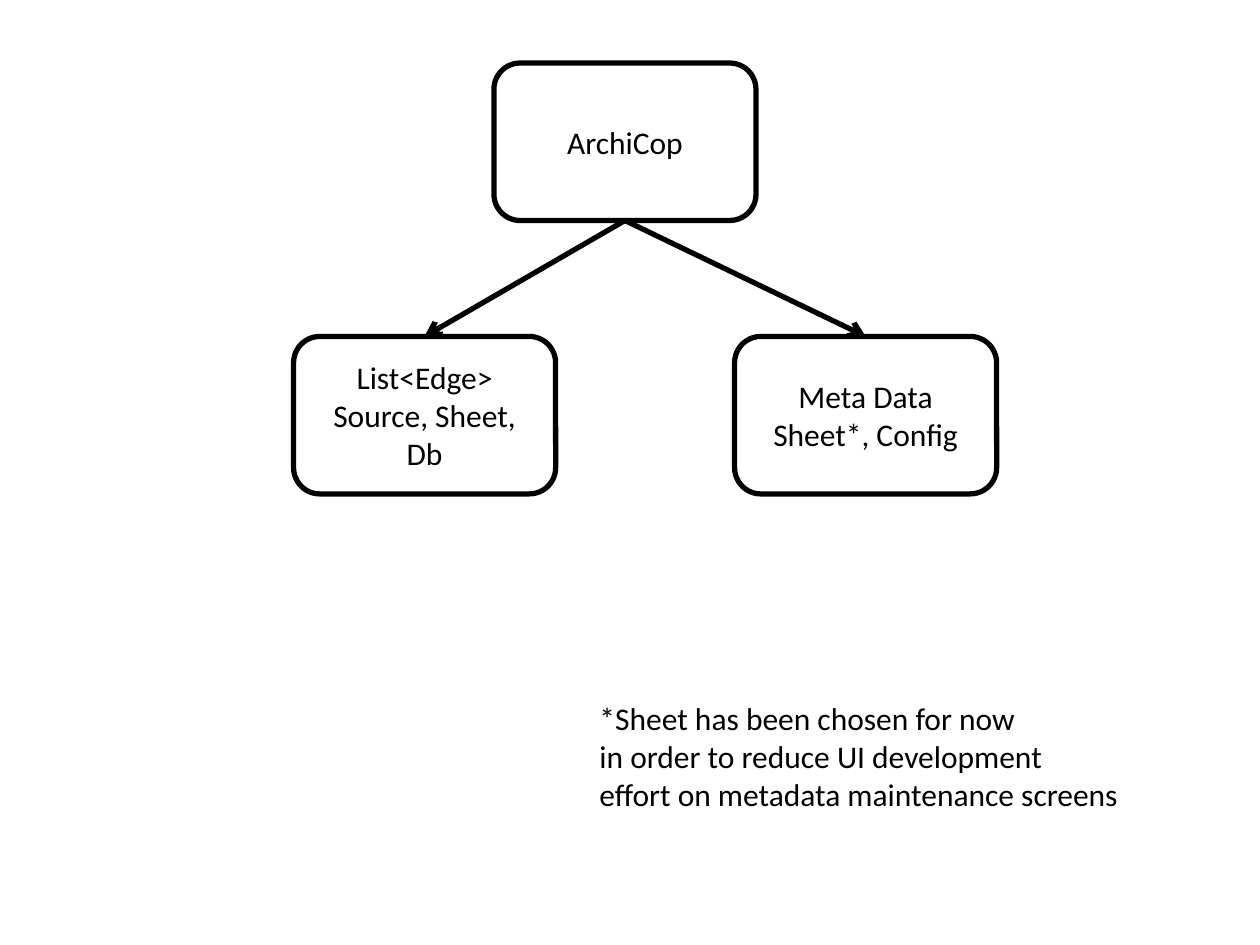
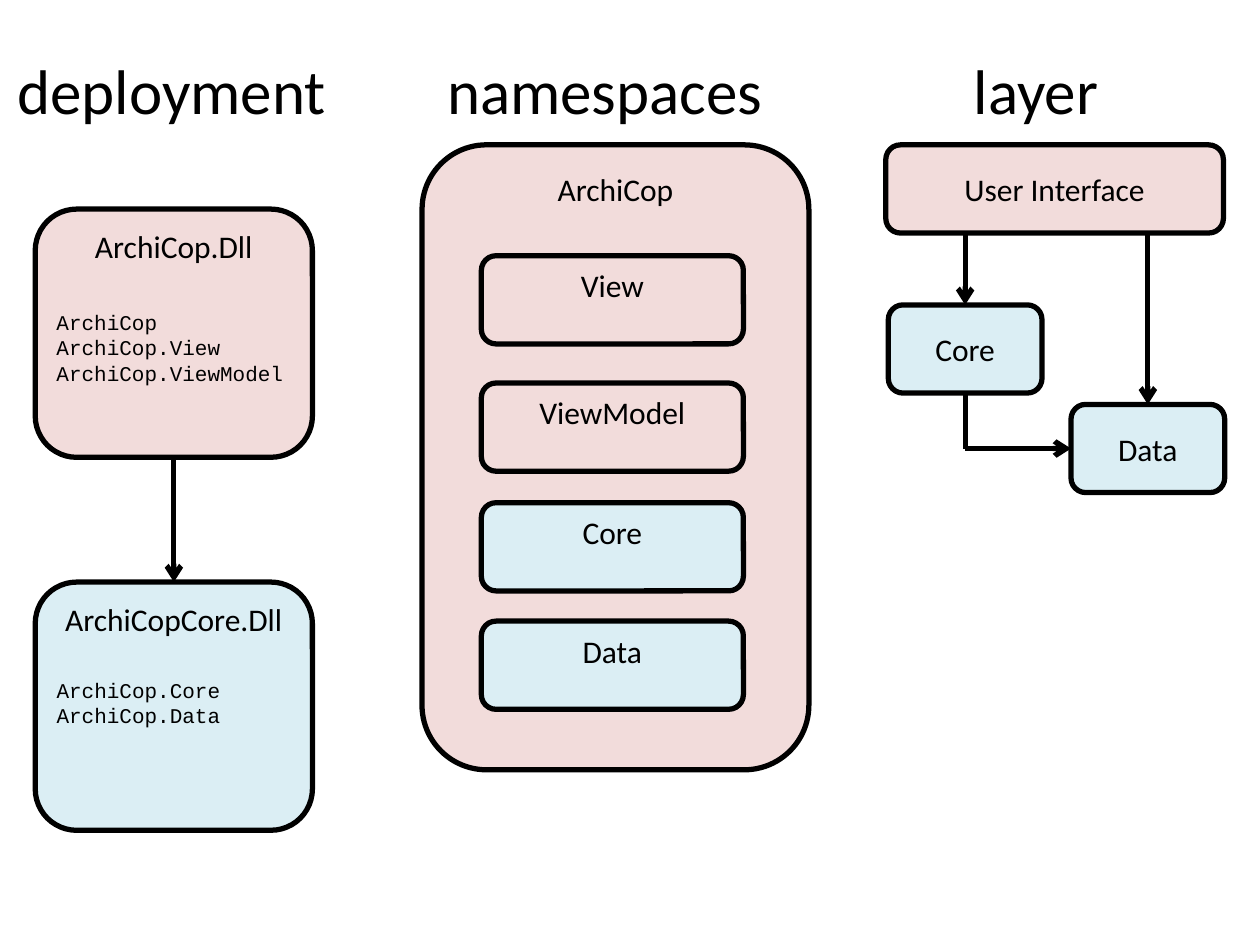
from dataclasses import dataclass

from lxml import etree
from pptx import Presentation
from pptx.dml.color import RGBColor
from pptx.enum import shapes, text
from pptx.oxml import ns
from pptx.util import Inches, Pt

COLUMNS, ROWS = 100, 75
TOP, LEFT, BOTTOM = 0, 1, 2


@dataclass(frozen=True)
class Theme:
    """Colours, fonts and type sizes shared by the slides."""
    ink: str = "000000"
    plain: str = "FFFFFF"
    rose: str = "F2DCDB"
    aqua: str = "DBEEF4"
    font: str = "Calibri"
    code_font: str = "Courier New"
    heading: int = 36
    body: int = 18
    code: int = 12
    stroke: int = 3


class Sketch:
    """Draws diagram elements on the current slide, placed by grid cells."""

    def __init__(self, theme):
        self.theme = theme
        self.deck = Presentation()
        self.deck.slide_width, self.deck.slide_height = Inches(10), Inches(7.5)
        self.slide = None

    def new_slide(self):
        """Start a blank slide."""
        self.slide = self.deck.slides.add_slide(self.deck.slide_layouts[6])

    def cells(self, *lengths):
        """Turn alternating column and row counts into lengths."""
        units = (self.deck.slide_width / COLUMNS, self.deck.slide_height / ROWS)
        return [round(n * units[i % 2]) for i, n in enumerate(lengths)]

    def set_words(self, frame, words, align, size, font, **frame_format):
        """Fill a text frame and format it."""
        frame.text = words
        for name, value in frame_format.items():
            setattr(frame, name, value)
        for paragraph in frame.paragraphs:
            paragraph.alignment = align
            for run in paragraph.runs:
                for name, value in {"size": Pt(size), "name": font}.items():
                    setattr(run.font, name, value)
                run.font.color.rgb = RGBColor.from_string(self.theme.ink)

    def outline(self, line):
        """Apply the common stroke."""
        line.color.rgb = RGBColor.from_string(self.theme.ink)
        line.width = Pt(self.theme.stroke)

    def box(self, words, place, fill, anchor=text.MSO_ANCHOR.MIDDLE):
        """Add a rounded box with a centred label."""
        box = self.slide.shapes.add_shape(
            shapes.MSO_SHAPE.ROUNDED_RECTANGLE, *self.cells(*place))
        box.shadow.inherit = False
        box.fill.solid()
        box.fill.fore_color.rgb = RGBColor.from_string(fill)
        self.outline(box.line)
        self.set_words(box.text_frame, words, text.PP_ALIGN.CENTER, self.theme.body,
                       self.theme.font, vertical_anchor=anchor, word_wrap=True)
        return box

    def label(self, words, place, size, font=None):
        """Add unwrapped free text."""
        label = self.slide.shapes.add_textbox(*self.cells(*place))
        self.set_words(label.text_frame, words, text.PP_ALIGN.LEFT, size,
                       font or self.theme.font, word_wrap=False,
                       auto_size=text.MSO_AUTO_SIZE.SHAPE_TO_FIT_TEXT)

    def link(self, start=(0, 0), end=(0, 0), source=None, target=None, arrow=True):
        """Join points or (box, side) pairs with a straight line."""
        link = self.slide.shapes.add_connector(
            shapes.MSO_CONNECTOR.STRAIGHT, *self.cells(*start, *end))
        if source:
            link.begin_connect(*source)
        if target:
            link.end_connect(*target)
        self.outline(link.line)
        properties = link._element.spPr
        if arrow:
            etree.SubElement(properties.find(ns.qn("a:ln")), ns.qn("a:tailEnd"), type="arrow")
        etree.SubElement(properties, ns.qn("a:effectLst"))


def draw_inputs(sketch):
    """Show the tool and its two inputs."""
    theme = sketch.theme
    sketch.new_slide()
    tool = sketch.box("ArchiCop", (39.2, 5, 20.8, 12.5), theme.plain)
    inputs = {"List<Edge>\nSource, Sheet, Db": 23.3, "Meta Data\nSheet*, Config": 58.3}
    for words, left in inputs.items():
        source = sketch.box(words, (left, 26.7, 20.8, 12.5), theme.plain)
        sketch.link(source=(tool, BOTTOM), target=(source, TOP))
    sketch.label("*Sheet has been chosen for now\nin order to reduce UI development\n"
                 "effort on metadata maintenance screens", (46.6, 55, 43.6, 10.1), theme.body)


def draw_deployment(sketch):
    """Show the two assemblies and their contents."""
    theme = sketch.theme
    assemblies = [
        ("ArchiCop.Dll", 16.6, theme.rose, 24.1, 20.3,
         "ArchiCop\nArchiCop.View\vArchiCop.ViewModel"),
        ("ArchiCopCore.Dll", 46.2, theme.aqua, 53.3, 15.2, "ArchiCop.Core\nArchiCop.Data"),
    ]
    dlls = []
    for name, top, fill, contents_top, width, contents in assemblies:
        dlls.append(sketch.box(name, (2.8, top, 22, 19.7), fill, text.MSO_ANCHOR.TOP))
        sketch.label(contents, (3.5, contents_top, width, 5), theme.code, theme.code_font)
    main_dll, core_dll = dlls
    sketch.link(source=(main_dll, BOTTOM), target=(core_dll, TOP))


def draw_namespaces(sketch):
    """Show the root namespace and its children."""
    theme = sketch.theme
    sketch.box("ArchiCop", (33.5, 11.5, 30.7, 49.6), theme.rose, text.MSO_ANCHOR.TOP)
    children = [("View", 20.3, theme.rose), ("ViewModel", 30.4, theme.rose),
                ("Core", 39.9, theme.aqua), ("Data", 49.3, theme.aqua)]
    for name, top, fill in children:
        sketch.box(name, (38.2, top, 20.8, 7), fill, text.MSO_ANCHOR.TOP)


def draw_layers(sketch):
    """Show the layers and their dependencies."""
    theme = sketch.theme
    core_axis, data_axis, interface_bottom, elbow = 76.6, 91.1, 18.5, 35.6
    sketch.box("User Interface", (70.3, 11.5, 26.8, 7), theme.rose)
    core = sketch.box("Core", (70.5, 24.2, 12.2, 7), theme.aqua)
    data = sketch.box("Data", (85, 32.1, 12.2, 7), theme.aqua)
    for axis, layer in ((core_axis, core), (data_axis, data)):
        sketch.link(start=(axis, interface_bottom), target=(layer, TOP))
    sketch.link(end=(core_axis, elbow), source=(core, BOTTOM), arrow=False)
    sketch.link(start=(core_axis, elbow), target=(data, LEFT))


def draw_architecture(sketch):
    """Compare deployment, namespaces and layers side by side."""
    sketch.new_slide()
    for words, left, width in (("deployment", 0.4, 26.7), ("namespaces", 34.5, 27.3),
                               ("layer", 76.3, 12)):
        sketch.label(words, (left, 3.6, width, 7.1), sketch.theme.heading)
    for draw in (draw_deployment, draw_namespaces, draw_layers):
        draw(sketch)


def main():
    """Build and save the deck."""
    sketch = Sketch(Theme())
    draw_inputs(sketch)
    draw_architecture(sketch)
    sketch.deck.save("out.pptx")


if __name__ == "__main__":
    main()
